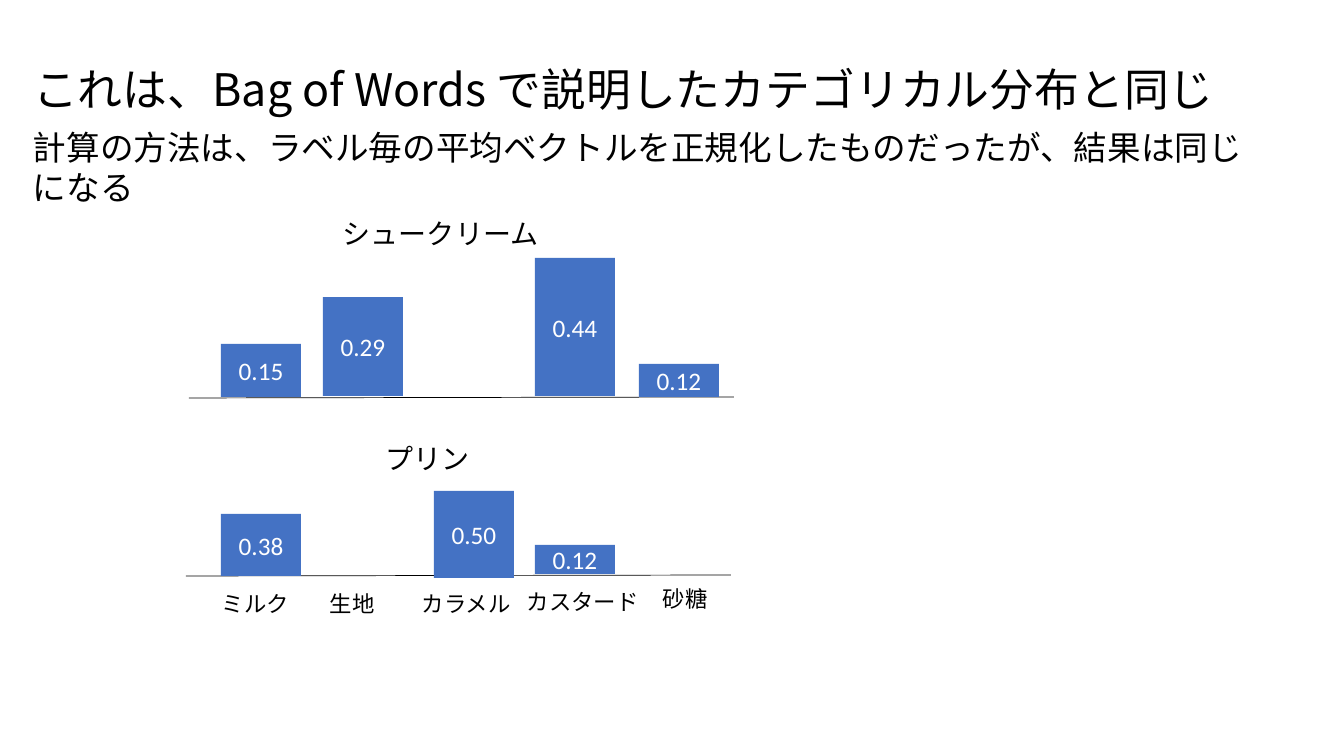
from pptx import Presentation
from pptx.dml.color import RGBColor
from pptx.enum.shapes import MSO_CONNECTOR as Link, MSO_SHAPE as Shape
from pptx.enum.text import MSO_ANCHOR as Anchor, MSO_AUTO_SIZE as Fit, PP_ALIGN as Align
from pptx.oxml.ns import qn
from pptx.util import Emu, Pt
from lxml.etree import SubElement

BLUE = RGBColor(0x44, 0x72, 0xC4)
BLACK = RGBColor(0, 0, 0)
WHITE = RGBColor(255, 255, 255)
LATIN, KANA = "Calibri", "Noto Sans CJK JP"
COLS = [221, 323, 434, 535, 639]  # left edge of each ingredient's bar
BAR = 80

# Word, left, top, width
WORDS = [
    ("ミルク", 212, 585, 89),
    ("生地", 320, 585, 66),
    ("カラメル", 412, 585, 111),
    ("カスタード", 517, 583, 133),
    ("砂糖", 653, 580, 66),
]

# Heading with its box, base line ends, bars as (column, value, top, height)
CHARTS = [
    ("シュークリーム", (333, 212, 219, 44), (189, 398, 734, 397),
     [(0, "0.15", 344, 53), (1, "0.29", 297, 99),
      (3, "0.44", 258, 138), (4, "0.12", 364, 33)]),
    ("プリン", (376, 437, 105, 44), (186, 576, 731, 575),
     [(0, "0.38", 514, 62), (2, "0.50", 491, 87), (3, "0.12", 545, 29)]),
]


def px(*nums):
    return [Emu(round(n * 914400 / 100.8)) for n in nums]


def write(shape, text, size, font, color, align=Align.LEFT, wrap=False):
    frame = shape.text_frame
    frame.word_wrap = wrap
    frame.auto_size = Fit.NONE
    para = frame.paragraphs[0]
    para.alignment = align
    para.line_spacing = Pt(size * 1.2)
    run = para.add_run()
    run.text = text
    run.font.size = Pt(size)
    run.font.name = font
    run.font.color.rgb = color
    SubElement(run.font._element, qn("a:ea")).set("typeface", font)


def add_label(slide, text, box, size, wrap=False):
    label = slide.shapes.add_textbox(*px(*box))
    write(label, text, size, KANA, BLACK, wrap=wrap)


def add_title(slide, text, box, size):
    title = slide.shapes.title
    title.left, title.top, title.width, title.height = px(*box)
    title.text_frame.vertical_anchor = Anchor.TOP
    write(title, text, size, KANA, BLACK)


def add_bar(slide, text, box):
    bar = slide.shapes.add_shape(Shape.RECTANGLE, *px(*box))
    bar.shadow.inherit = False
    bar.fill.solid()
    bar.fill.fore_color.rgb = BLUE
    bar.line.fill.background()
    bar.text_frame.vertical_anchor = Anchor.MIDDLE
    write(bar, text, 18, LATIN, WHITE, Align.CENTER, True)


def add_base(slide, ends):
    base = slide.shapes.add_connector(Link.STRAIGHT, *px(*ends))
    base.line.color.rgb = BLACK
    base.line.width = Pt(0.5)
    SubElement(base._element.spPr, qn("a:effectLst"))


def main():
    deck = Presentation()
    deck.slide_width, deck.slide_height = px(1344, 756)
    slide = deck.slides.add_slide(deck.slide_layouts[5])

    # Title and remark
    add_title(slide, "これは、Bag of Words で説明したカテゴリカル分布と同じ",
              (23, 57, 1236, 65), 32)
    add_label(slide, "計算の方法は、ラベル毎の平均ベクトルを正規化したものだったが、結果は同じになる",
              (23, 122, 1247, 92), 24, True)

    # Bar rows
    for name, box, ends, bars in CHARTS:
        add_label(slide, name, box, 20)
        add_base(slide, ends)
        for col, value, top, high in bars:
            add_bar(slide, value, (COLS[col], top, BAR, high))

    # Ingredient names
    for word, left, top, wide in WORDS:
        add_label(slide, word, (left, top, wide, 37), 16)

    deck.save("out.pptx")


if __name__ == "__main__":
    main()
